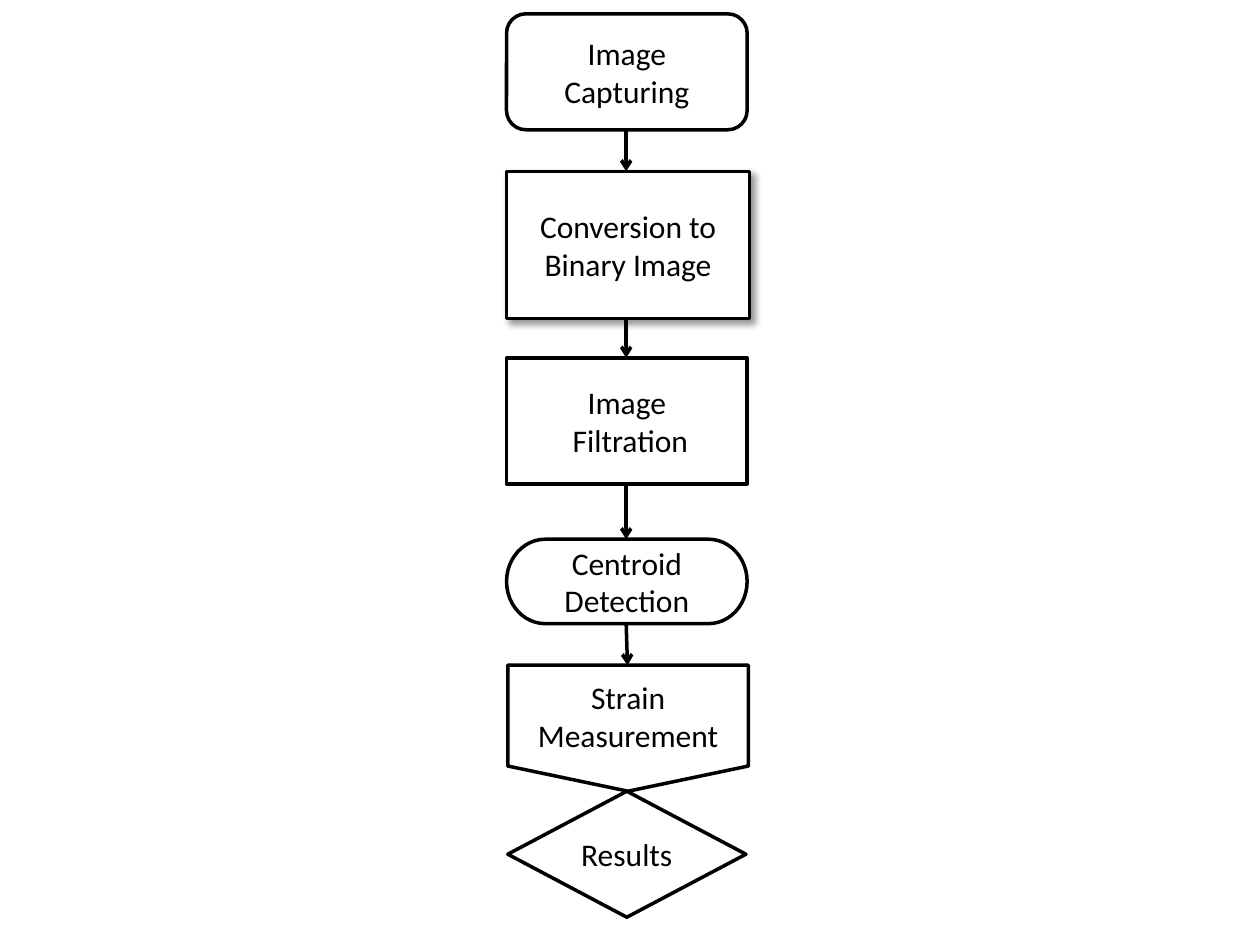
from lxml.etree import SubElement
from pptx import Presentation
from pptx.dml.color import RGBColor
from pptx.enum.shapes import MSO_CONNECTOR, MSO_SHAPE
from pptx.enum.text import MSO_ANCHOR, PP_ALIGN
from pptx.oxml.ns import qn
from pptx.util import Inches, Pt

COLORS = {"paper": "FFFFFF", "ink": "000000"}
FONT, TEXT_SIZE, LINE_WIDTH = "Calibri", 18, 2
ARROW_OFFSET = 0.95  # arrow position from the left edge of a stage

# Stages from top to bottom: paragraphs, outline, (left, top, width, height)
STAGES = [
    (["Image Capturing"], MSO_SHAPE.ROUNDED_RECTANGLE, (4.02, 0.11, 1.91, 0.92)),
    (["Conversion to Binary Image"], MSO_SHAPE.RECTANGLE, (4.02, 1.36, 1.93, 1.17)),
    (["Image", " Filtration"], MSO_SHAPE.RECTANGLE, (4.02, 2.84, 1.91, 1)),
    (["Centroid Detection"], MSO_SHAPE.FLOWCHART_TERMINATOR, (4.02, 4.28, 1.91, 0.67)),
    (["Strain Measurement"], MSO_SHAPE.FLOWCHART_OFFPAGE_CONNECTOR, (4.03, 5.28, 1.91, 1)),
    (["Results"], MSO_SHAPE.FLOWCHART_DECISION, (4.03, 6.28, 1.89, 1)),
]
SHADOWED_STAGE = 1


def color(name):
    return RGBColor.from_string(COLORS[name])


def style_line(line):
    line.color.rgb = color("ink")
    line.width = Pt(LINE_WIDTH)


def add_stage(slide, paragraphs, outline, box):
    shape = slide.shapes.add_shape(outline, *map(Inches, box))
    shape.shadow.inherit = False
    shape.fill.solid()
    shape.fill.fore_color.rgb = color("paper")
    style_line(shape.line)
    frame = shape.text_frame
    frame.word_wrap = True
    frame.vertical_anchor = MSO_ANCHOR.MIDDLE
    for index, text in enumerate(paragraphs):
        paragraph = frame.add_paragraph() if index else frame.paragraphs[0]
        paragraph.alignment = PP_ALIGN.CENTER
        run = paragraph.add_run()
        run.text = text
        run.font.name = FONT
        run.font.size = Pt(TEXT_SIZE)
        run.font.color.rgb = color("ink")
    return shape


def add_shadow(shape):
    effects = shape._element.spPr.find(qn("a:effectLst"))
    shadow = SubElement(effects, qn("a:outerShdw"), blurRad=str(Pt(4)), dist=str(Pt(3)),
                        dir=str(45 * 60000), algn="tl", rotWithShape="0")
    tint = SubElement(shadow, qn("a:srgbClr"), val=COLORS["ink"])
    SubElement(tint, qn("a:alpha"), val="40000")


def add_arrow(slide, upper, lower):
    start = upper[0] + ARROW_OFFSET, upper[1] + upper[3]
    end = lower[0] + ARROW_OFFSET, lower[1]
    arrow = slide.shapes.add_connector(MSO_CONNECTOR.STRAIGHT, *map(Inches, start + end))
    style_line(arrow.line)
    SubElement(arrow.line._get_or_add_ln(), qn("a:tailEnd"), type="arrow")
    SubElement(arrow._element.spPr, qn("a:effectLst"))


def main():
    presentation = Presentation()
    presentation.slide_width, presentation.slide_height = Inches(10), Inches(7.5)
    slide = presentation.slides.add_slide(presentation.slide_layouts[6])

    # Flowchart stages
    shapes = [add_stage(slide, *stage) for stage in STAGES]
    add_shadow(shapes[SHADOWED_STAGE])

    # Arrows between stages; the last two touch and need none
    boxes = [box for _, _, box in STAGES[:-1]]
    for upper, lower in zip(boxes, boxes[1:]):
        add_arrow(slide, upper, lower)

    presentation.save("out.pptx")


if __name__ == "__main__":
    main()
